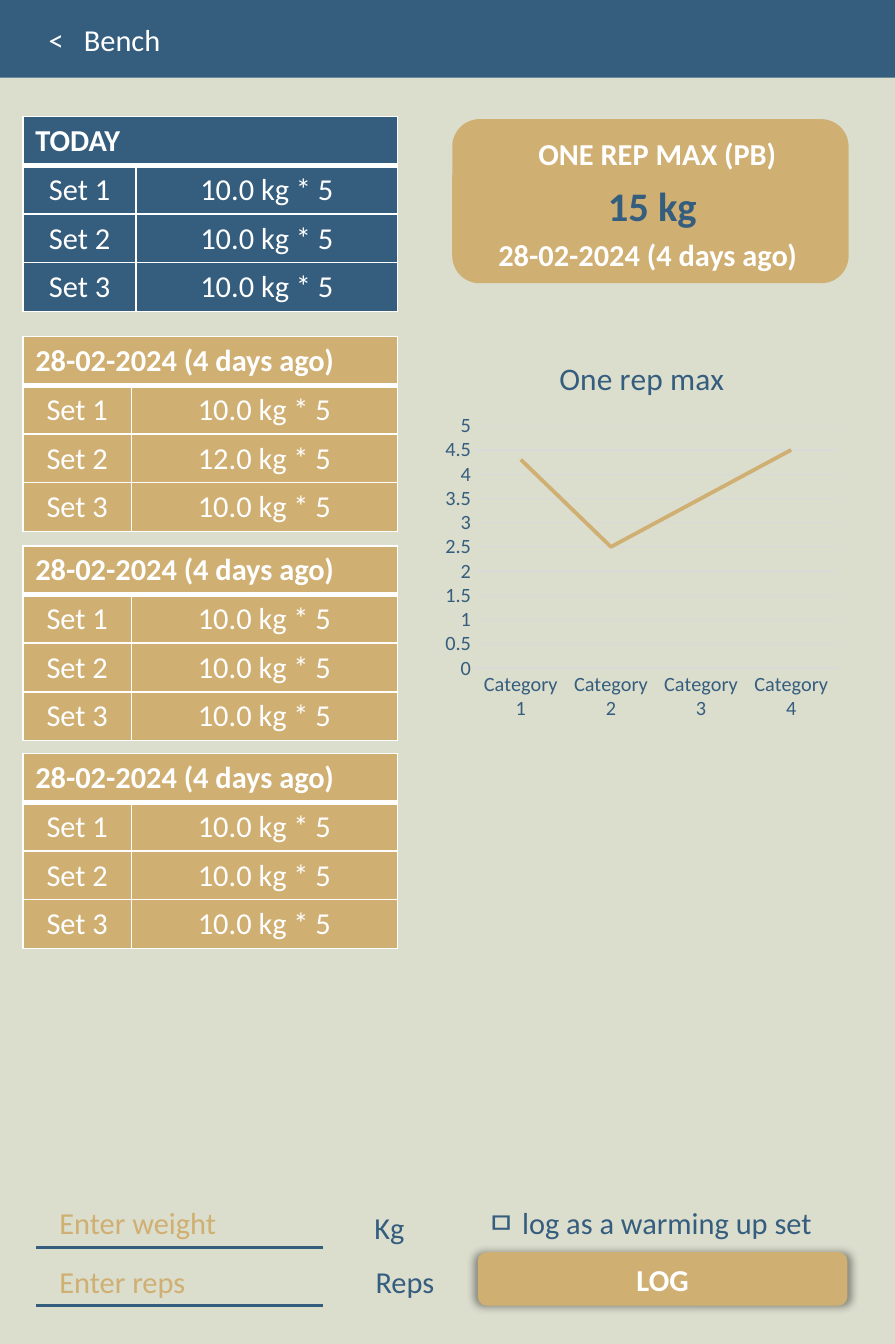
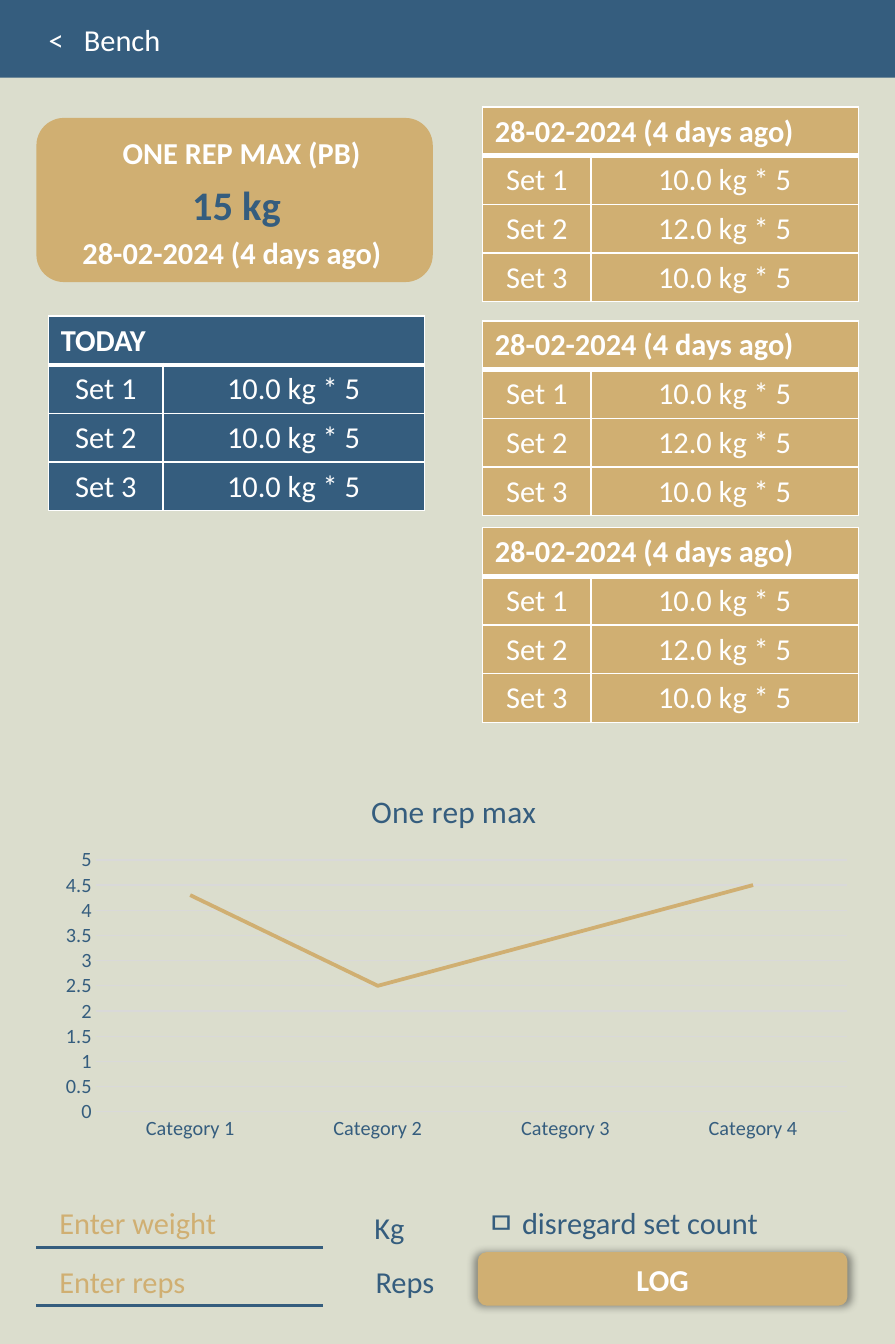
import pptx
import pptx.chart.data
import pptx.dml.color
import pptx.enum.chart
import pptx.enum.shapes
import pptx.enum.text
import pptx.oxml
import pptx.oxml.ns
import pptx.util

Inches = pptx.util.Inches
Pt = pptx.util.Pt
RGBColor = pptx.dml.color.RGBColor
Align = pptx.enum.text.PP_ALIGN
Anchor = pptx.enum.text.MSO_ANCHOR
Preset = pptx.enum.shapes.MSO_SHAPE
qn = pptx.oxml.ns.qn

NAVY = RGBColor(0x35, 0x5D, 0x7E)
SAND = RGBColor(0xD0, 0xAF, 0x72)
SAGE = RGBColor(0xDB, 0xDD, 0xCD)
WHITE = RGBColor(0xFF, 0xFF, 0xFF)
GRID = RGBColor(0xD9, 0xD9, 0xD9)
FONT = "Calibri"
PAST_DAY = "28-02-2024 (4 days ago)"
EVEN_SETS = ("10.0 kg * 5", "10.0 kg * 5", "10.0 kg * 5")
PEAK_SETS = ("10.0 kg * 5", "12.0 kg * 5", "10.0 kg * 5")


def set_font(font, size, color, bold=False):
    font.name = FONT
    font.size = Pt(size)
    font.bold = bold
    font.color.rgb = color


def write(frame, text, size=18, color=WHITE, bold=False, align=Align.LEFT,
          anchor=Anchor.TOP, wrap=False, fit=True):
    sizing = pptx.enum.text.MSO_AUTO_SIZE
    frame.auto_size = sizing.SHAPE_TO_FIT_TEXT if fit else sizing.NONE
    frame.word_wrap = wrap
    frame.vertical_anchor = anchor
    add_words(frame.paragraphs[0], text, size, color, bold, align)


def add_words(paragraph, text, size=18, color=WHITE, bold=False, align=Align.LEFT):
    paragraph.alignment = align
    words = paragraph.add_run()
    words.text = text
    set_font(words.font, size, color, bold)


def xml(markup, prefix="a"):
    tag, rest = markup[:markup.index(">")], markup[markup.index(">"):]
    closing = "/" if tag.endswith("/") else ""
    return pptx.oxml.parse_xml(
        f"{tag.rstrip('/')} {pptx.oxml.ns.nsdecls(prefix)}{closing}{rest}")


def place_part(part, index, inner=False, **fractions):
    old = part.find(qn("c:layout"))
    if old is not None:
        part.remove(old)
    target = '<c:layoutTarget val="inner"/>' if inner else ""
    modes = '<c:xMode val="edge"/><c:yMode val="edge"/>'
    values = "".join(f'<c:{key} val="{value}"/>' for key, value in fractions.items())
    part.insert(index, xml(
        f"<c:layout><c:manualLayout>{target}{modes}{values}</c:manualLayout></c:layout>", "c"))


class WorkoutDeck:
    """Holds the shared style and the slide being built."""

    def __init__(self):
        self.deck = pptx.Presentation()
        self.deck.slide_width = Pt(530)
        self.deck.slide_height = Pt(796)
        backdrop = self.deck.slide_master.background.fill
        backdrop.solid()
        backdrop.fore_color.rgb = SAGE
        self.slide = None

    def block(self, left, top, width, height, color, preset=Preset.RECTANGLE, owner=None):
        shapes = (owner or self.slide).shapes
        block = shapes.add_shape(
            preset, Inches(left), Inches(top), Inches(width), Inches(height))
        block.shadow.inherit = False
        block.fill.solid()
        block.fill.fore_color.rgb = color
        block.line.fill.background()
        return block

    def label(self, left, top, width, text, color):
        label = self.slide.shapes.add_textbox(
            Inches(left), Inches(top), Inches(width), Inches(0.4))
        write(label.text_frame, text, color=color)

    def rule(self, top):
        rule = self.slide.shapes.add_connector(
            pptx.enum.shapes.MSO_CONNECTOR.STRAIGHT,
            Inches(0.3), Inches(top), Inches(2.66), Inches(top))
        rule.line.color.rgb = NAVY
        rule.line.width = Pt(1.5)
        rule._element.spPr.append(xml("<a:effectLst/>"))

    def start_page(self, option, option_width):
        self.slide = self.deck.slides.add_slide(self.deck.slide_layouts[5])
        header = self.block(0, 0, 7.36, 0.64, NAVY)
        header.width = self.deck.slide_width
        self.slide.shapes._spTree.insert(2, header._element)
        heading = self.slide.shapes.title
        heading.left, heading.top = Inches(0.3), Inches(0.12)
        heading.width, heading.height = Inches(1.14), Inches(0.4)
        write(heading.text_frame, "<\tBench", wrap=True, fit=False)
        heading.text_frame.paragraphs[0]._p.get_or_add_pPr().append(
            xml(f'<a:tabLst><a:tab pos="{Inches(0.29)}" algn="l"/></a:tabLst>'))
        self.entry_form(option, option_width)

    def entry_form(self, option, option_width):
        self.label(2.98, 9.9, 0.45, "Kg", NAVY)
        self.label(2.99, 10.34, 0.69, "Reps", NAVY)
        self.label(0.39, 9.86, 1.51, "Enter weight", SAND)
        self.label(0.39, 10.34, 1.25, "Enter reps", SAND)
        self.label(3.91, 9.86, option_width, option, NAVY)
        for top in (10.26, 10.74):
            self.rule(top)
        button = self.block(3.93, 10.3, 3.04, 0.44, SAND, Preset.ROUNDED_RECTANGLE)
        write(button.text_frame, "LOG", bold=True, align=Align.CENTER,
              anchor=Anchor.MIDDLE, wrap=True, fit=False)
        button._element.spPr.find(qn("a:effectLst")).append(xml(
            f'<a:outerShdw blurRad="{Pt(5)}" dist="0" dir="0" sx="102000" sy="102000" '
            'algn="ctr" rotWithShape="0">'
            '<a:srgbClr val="000000"><a:alpha val="40000"/></a:srgbClr></a:outerShdw>'))

    def record_card(self, left, top):
        card = self.slide.shapes.add_group_shape()
        self.block(left, top, 3.26, 1.35, SAND, Preset.ROUNDED_RECTANGLE, card)
        lines = (
            (0.61, 0.08, 2.18, 0.35, "ONE REP MAX (PB)", {}),
            (1.04, 0.46, 1.21, 0.44, "15 kg",
             {"size": 24, "color": NAVY, "align": Align.CENTER, "wrap": True}),
            (0.28, 0.91, 2.69, 0.35, PAST_DAY, {}),
        )
        for across, down, width, height, text, style in lines:
            line = self.block(left + across, top + down, width, height, SAND, owner=card)
            write(line.text_frame, text, bold=True, **style)

    def set_table(self, left, top, day, sets, color=SAND, label_width=0.89, width=3.08):
        rows = len(sets) + 1
        grid = self.slide.shapes.add_table(
            rows, 2, Inches(left), Inches(top), Inches(width), Inches(0.4 * rows)).table
        grid.columns[0].width = Inches(label_width)
        grid.columns[1].width = Inches(width - label_width)
        for row in range(rows):
            for column in range(2):
                self.style_cell(grid.cell(row, column), row, color)
        grid.cell(0, 0).merge(grid.cell(0, 1))
        add_words(grid.cell(0, 0).text_frame.paragraphs[0], day, bold=True)
        for row, load in enumerate(sets, 1):
            for column, text in enumerate((f"Set {row}", load)):
                add_words(grid.cell(row, column).text_frame.paragraphs[0], text,
                          align=Align.CENTER)

    def style_cell(self, cell, row, color):
        thick = {(0, "B"), (1, "T")}
        borders = cell._tc.get_or_add_tcPr()
        for side in "LRTB":
            weight = Pt(3 if (row, side) in thick else 1)
            borders.append(xml(
                f'<a:ln{side} w="{weight}"><a:solidFill><a:srgbClr val="{WHITE}"/>'
                f"</a:solidFill></a:ln{side}>"))
        cell.fill.solid()
        cell.fill.fore_color.rgb = color

    def progress_chart(self, left, top, width, height, title_x, plot):
        data = pptx.chart.data.CategoryChartData()
        data.categories = [f"Category {number}" for number in range(1, 5)]
        data.add_series("Series 1", (4.3, 2.5, 3.5, 4.5))
        chart = self.slide.shapes.add_chart(
            pptx.enum.chart.XL_CHART_TYPE.LINE, Inches(left), Inches(top),
            Inches(width), Inches(height), data).chart
        set_font(chart.font, 10, NAVY)
        chart.has_legend = False
        add_words(chart.chart_title.text_frame.paragraphs[0], "One rep max",
                  size=18.6, color=NAVY, align=Align.CENTER)
        chart.chart_title.include_in_layout = False
        place_part(chart.chart_title._element, 1, x=title_x, y=0.04)
        place_part(chart._chartSpace.chart.plotArea, 0, inner=True,
                   **dict(zip("xywh", plot)))
        for axis in (chart.category_axis, chart.value_axis):
            axis.major_tick_mark = pptx.enum.chart.XL_TICK_MARK.NONE
            axis.minor_tick_mark = pptx.enum.chart.XL_TICK_MARK.NONE
            set_font(axis.tick_labels.font, 12, NAVY)
        loads = chart.value_axis
        loads.minimum_scale, loads.maximum_scale, loads.major_unit = 0, 5, 0.5
        loads.format.line.fill.background()
        for line in (chart.category_axis.format.line, loads.major_gridlines.format.line):
            line.color.rgb = GRID
            line.width = Pt(0.75)
        chart.plots[0].vary_by_categories = False
        trend = chart.plots[0].series[0]
        trend.smooth = False
        trend.marker.style = pptx.enum.chart.XL_MARKER_STYLE.NONE
        trend.format.line.color.rgb = SAND
        trend.format.line.width = Pt(2.25)


def main():
    app = WorkoutDeck()

    app.start_page("ㅁ log as a warming up set", 2.98)
    app.set_table(0.19, 0.96, "TODAY", EVEN_SETS, NAVY, 0.93)
    for top, sets in ((2.77, PEAK_SETS), (4.49, EVEN_SETS), (6.2, EVEN_SETS)):
        app.set_table(0.19, top, PAST_DAY, sets)
    app.progress_chart(3.61, 2.75, 3.37, 3.27, 0.28, (0.09, 0.23, 0.88, 0.61))
    app.record_card(3.72, 0.98)

    app.start_page("ㅁ disregard set count", 2.53)
    app.set_table(0.4, 2.6, "TODAY", EVEN_SETS, NAVY, 0.94, 3.09)
    for top in (0.88, 2.64, 4.34):
        app.set_table(3.97, top, PAST_DAY, PEAK_SETS, width=3.09)
    app.progress_chart(0.39, 6.32, 6.71, 3.14, 0.39, (0.06, 0.24, 0.92, 0.66))
    app.record_card(0.3, 0.97)

    app.deck.save("out.pptx")


if __name__ == "__main__":
    main()
